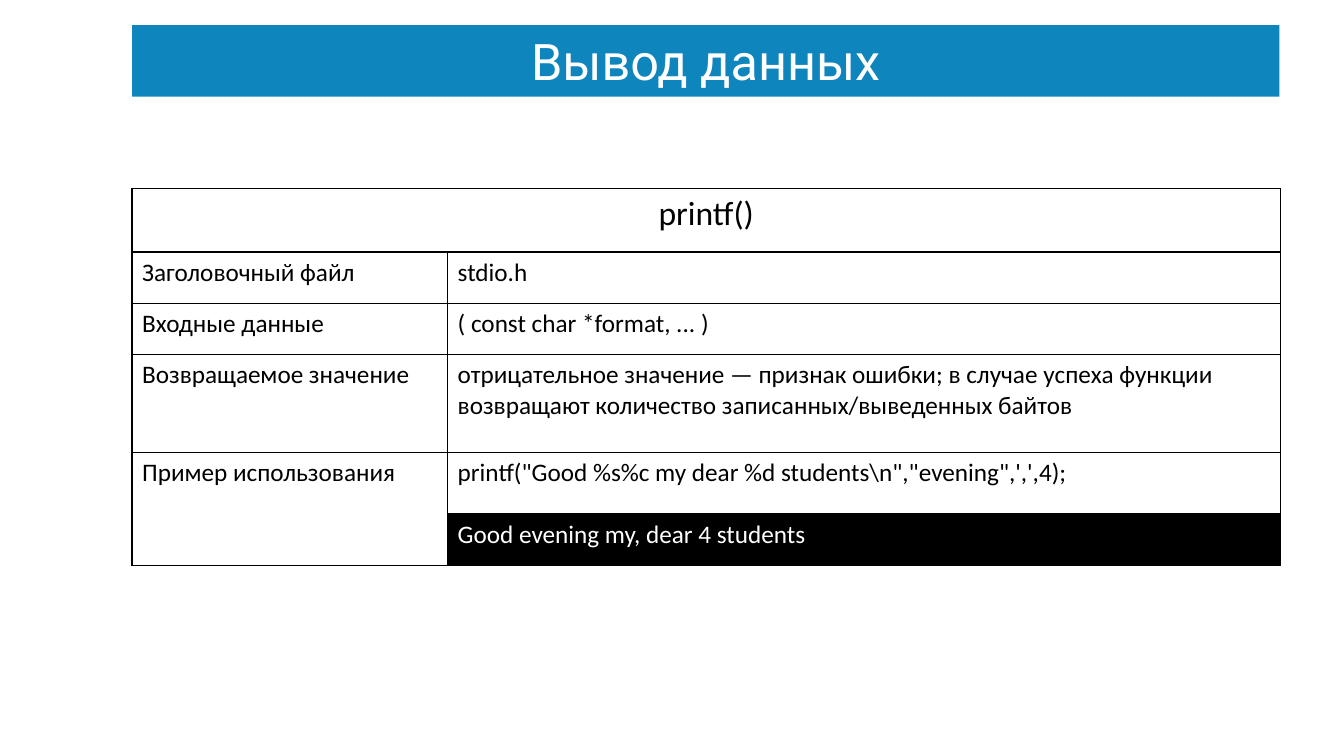
import pptx
import pptx.dml.color
import pptx.enum.text
import pptx.oxml
import pptx.util
from lxml import etree
from pptx.util import Inches

COLORS = {"banner": "0F85BE", "light": "FFFFFF", "dark": "000000"}
LEFT, WIDTH = Inches(1.31), Inches(11.38)


def color(name):
    return pptx.dml.color.RGBColor.from_string(COLORS[name])


def add_borders(cell):
    properties = cell._tc.get_or_add_tcPr()
    for position, side in enumerate(("lnL", "lnR", "lnT", "lnB")):
        line = etree.Element(pptx.oxml.ns.qn("a:" + side), w=str(pptx.util.Pt(1)))
        fill = etree.SubElement(line, pptx.oxml.ns.qn("a:solidFill"))
        etree.SubElement(fill, pptx.oxml.ns.qn("a:srgbClr"), val=COLORS["dark"])
        properties.insert(position, line)


deck = pptx.Presentation()
deck.slide_width, deck.slide_height = Inches(13.33), Inches(7.5)
page = deck.slides.add_slide(deck.slide_layouts[5])

# Title banner
title = page.shapes.title
title.left, title.top, title.width, title.height = LEFT, Inches(0.25), WIDTH, Inches(0.71)
title.fill.solid()
title.fill.fore_color.rgb = color("banner")
title.text_frame.text = "Вывод данных"
title.text_frame.auto_size = pptx.enum.text.MSO_AUTO_SIZE.NONE
title.text_frame.vertical_anchor = pptx.enum.text.MSO_ANCHOR.BOTTOM
para = title.text_frame.paragraphs[0]
para.alignment = pptx.enum.text.PP_ALIGN.CENTER
para.line_spacing = 0.9
para.font.name = "Roboto"
para.font.size = pptx.util.Pt(36)
para.font.color.rgb = color("light")

# Function reference table
rows = [
    (0.63, "printf()", ""),
    (0.51, "Заголовочный файл", "stdio.h"),
    (0.51, "Входные данные", "( const char *format, ... )"),
    (0.97, "Возвращаемое значение",
     "отрицательное значение — признак ошибки; в случае успеха функции "
     "возвращают количество записанных/выведенных байтов"),
    (0.61, "Пример использования",
     'printf("Good %s%c my dear %d students\\n","evening",\',\',4);'),
    (0.51, "", "Good evening my, dear 4 students"),
]
table = page.shapes.add_table(len(rows), 2, LEFT, Inches(1.87), WIDTH, Inches(3.75)).table
table.first_row = False
table.horz_banding = False
table.columns[0].width = Inches(3.13)
table.columns[1].width = Inches(8.26)

for row_index, (height, *texts) in enumerate(rows):
    table.rows[row_index].height = Inches(height)
    is_heading = row_index == 0
    for column_index, text in enumerate(texts):
        is_output = (row_index, column_index) == (len(rows) - 1, 1)
        cell = table.cell(row_index, column_index)
        cell.text = text
        if is_output:
            cell.fill.solid()
            cell.fill.fore_color.rgb = color("dark")
        else:
            cell.fill.background()
        add_borders(cell)
        para = cell.text_frame.paragraphs[0]
        para.font.name = "Calibri"
        para.font.size = pptx.util.Pt(24 if is_heading else 18)
        para.font.color.rgb = color("light" if is_output else "dark")
        if is_heading:
            para.alignment = pptx.enum.text.PP_ALIGN.CENTER

# Heading spans both columns, the example label spans two rows
table.cell(0, 0).merge(table.cell(0, 1))
table.cell(4, 0).merge(table.cell(5, 0))

deck.save("out.pptx")
